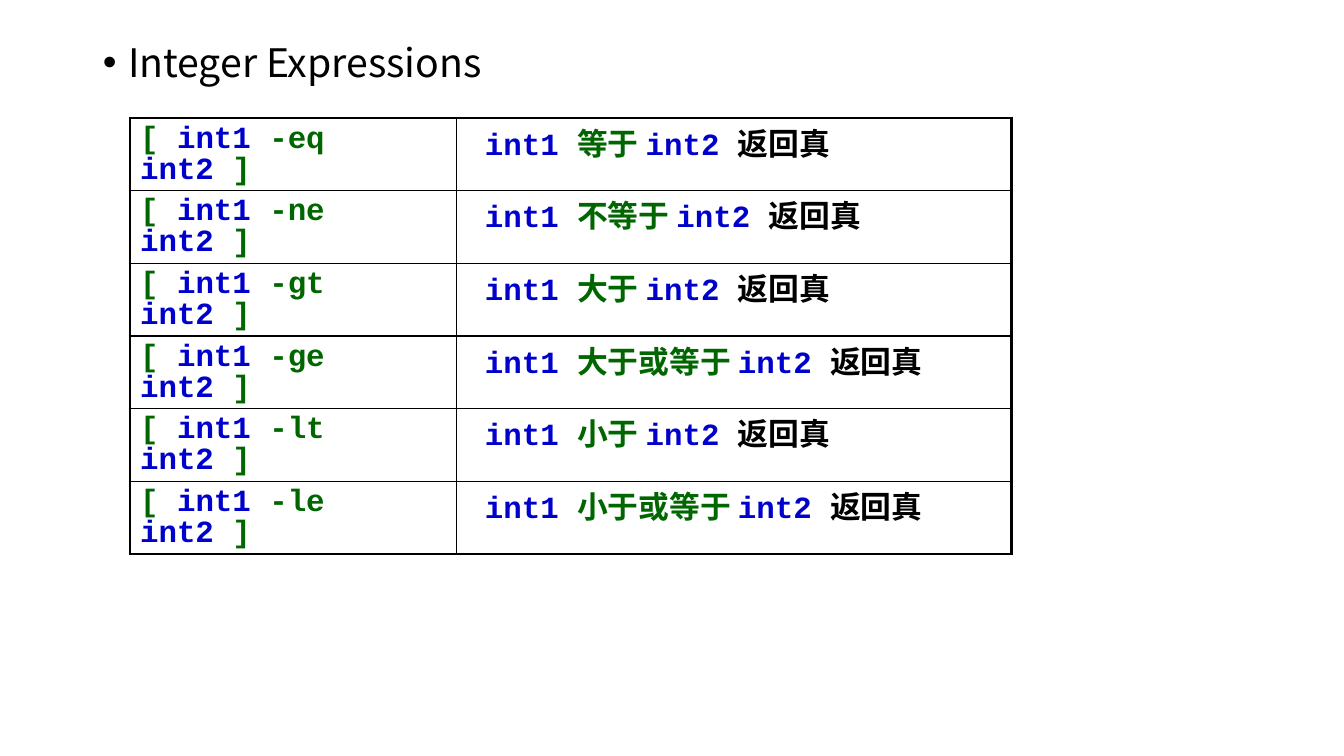
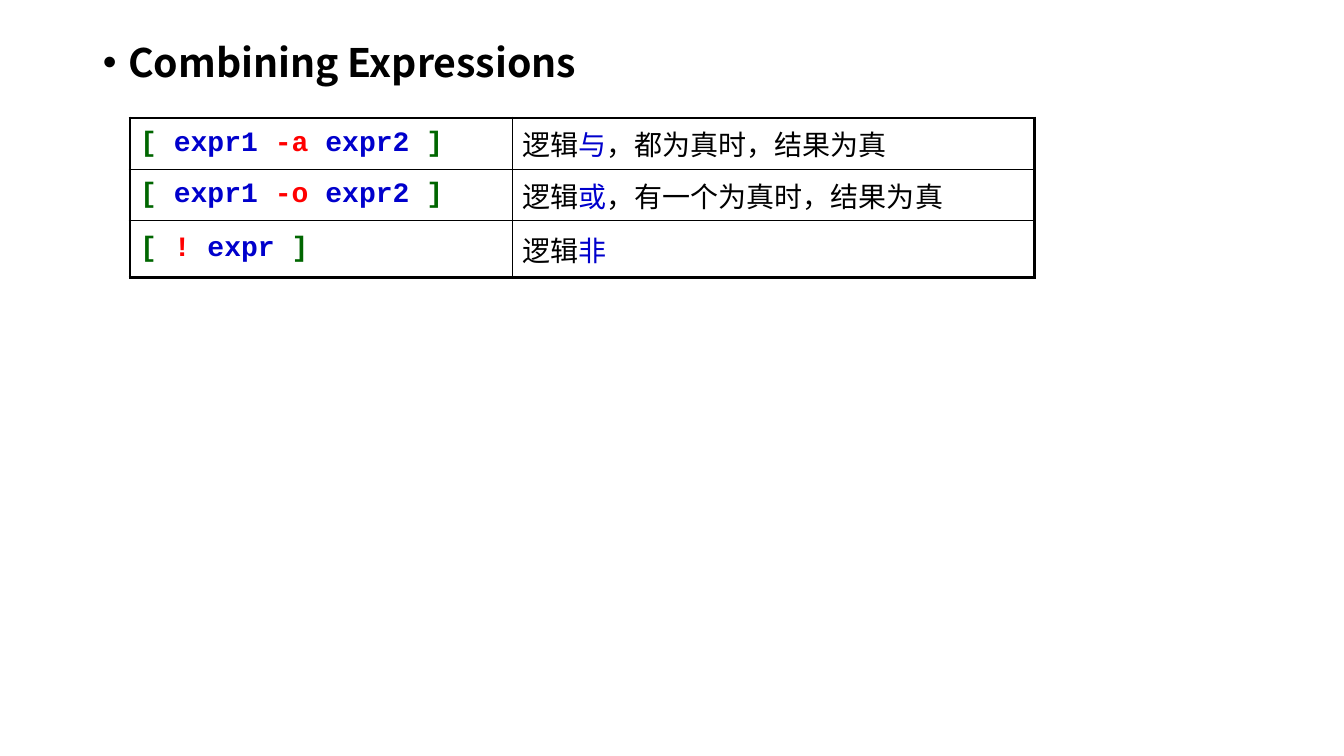
from lxml import etree
from pptx import Presentation
from pptx.dml.color import RGBColor
from pptx.enum.text import MSO_ANCHOR
from pptx.oxml.ns import qn
from pptx.util import Inches, Pt

BLACK = RGBColor(0x00, 0x00, 0x00)
GREEN = RGBColor(0x00, 0x66, 0x00)
BLUE = RGBColor(0x00, 0x00, 0xCC)
RED = RGBColor(0xFF, 0x00, 0x00)
SANS, SERIF, MONO = "Noto Sans CJK SC", "Times New Roman", "Courier New"
TOP, MIDDLE = MSO_ANCHOR.TOP, MSO_ANCHOR.MIDDLE
OUTER, INNER = Pt(2.25), Pt(1)

# Content: each cell is a list of (text, colour) runs
COMPARISONS = [("-eq", "等于"), ("-ne", "不等于"), ("-gt", "大于"),
               ("-ge", "大于或等于"), ("-lt", "小于"), ("-le", "小于或等于")]
INTEGER_ROWS = [
    ([("[ ", GREEN), ("int1 ", BLUE), (f"{op} ", GREEN), ("int2 ", BLUE), ("]", GREEN)],
     [("int1 ", BLUE), (f"{meaning} ", GREEN), ("int2 ", BLUE), ("返回真", BLACK)])
    for op, meaning in COMPARISONS]
COMBINING_ROWS = [
    ([("[ ", GREEN), ("expr1 ", BLUE), ("-a ", RED), ("expr2 ", BLUE), ("]", GREEN)],
     [("逻辑", BLACK), ("与", BLUE), ("，都为真时，结果为真", BLACK)]),
    ([("[ ", GREEN), ("expr1 ", BLUE), ("-o ", RED), ("expr2 ", BLUE), ("]", GREEN)],
     [("逻辑", BLACK), ("或", BLUE), ("，有一个为真时，结果为真", BLACK)]),
    ([("[ ", GREEN), ("! ", RED), ("expr ", BLUE), ("]", GREEN)],
     [("逻辑", BLACK), ("非", BLUE)]),
]

# Column styles: font, bold, left margin in inches
CODE = (MONO, True, 0.1)
SLIDES = [
    dict(heading="Integer Expressions", bold=False, rows=INTEGER_ROWS,
         widths=[3.24, 5.5], heights=[0.72] * 6, size=22, spacing=0.9,
         anchor=TOP, styles=[CODE, (MONO, True, 0.28)]),
    dict(heading="Combining Expressions", bold=True, rows=COMBINING_ROWS,
         widths=[3.79, 5.18], heights=[0.51, 0.51, 0.56], size=20, spacing=1.0,
         anchor=MIDDLE, styles=[CODE, (SERIF, False, 0.1)]),
]


def add_run(p, text, size=20, font=SANS, color=BLACK, bold=False):
    r = p.add_run()
    r.text = text
    r.font.size, r.font.name, r.font.bold = Pt(size), font, bold
    r.font.color.rgb = color
    etree.SubElement(r.font._element, qn("a:ea"), typeface=SANS)


def set_borders(cell, **widths):
    tc_pr = cell._tc.get_or_add_tcPr()
    for side in "LRTB":
        ln = etree.SubElement(tc_pr, qn(f"a:ln{side}"), w=str(widths[side]))
        fill = etree.SubElement(ln, qn("a:solidFill"))
        etree.SubElement(fill, qn("a:srgbClr"), val=str(BLACK))


def add_heading(s, text, bold):
    p = s.placeholders[1].text_frame.paragraphs[0]
    p.line_spacing, p.space_before = 0.9, Pt(0)
    p_pr = p._p.get_or_add_pPr()
    p_pr.set("marL", str(Inches(0.25)))
    p_pr.set("indent", str(Inches(-0.25)))
    etree.SubElement(p_pr, qn("a:buFont"), typeface="Arial")
    etree.SubElement(p_pr, qn("a:buChar"), char="•")
    add_run(p, text, size=28, bold=bold)


def add_grid(s, rows, widths, heights, size, spacing, anchor, styles):
    table = s.shapes.add_table(
        len(rows), len(widths), Inches(1.29), Inches(1.17),
        Inches(sum(widths)), Inches(sum(heights))).table
    table.first_row = table.horz_banding = False
    for column, width in zip(table.columns, widths):
        column.width = Inches(width)
    last_row, last_col = len(rows) - 1, len(widths) - 1
    for i, row in enumerate(rows):
        table.rows[i].height = Inches(heights[i])
        for j, (runs, (font, bold, margin)) in enumerate(zip(row, styles)):
            cell = table.cell(i, j)
            set_borders(cell, L=INNER if j else OUTER, T=INNER if i else OUTER,
                        R=OUTER if j == last_col else INNER,
                        B=OUTER if i == last_row else INNER)
            cell.fill.background()
            cell.vertical_anchor = anchor
            cell.margin_left = Inches(margin)
            p = cell.text_frame.paragraphs[0]
            p.line_spacing = spacing
            for text, color in runs:
                add_run(p, text, size=size, font=font, color=color, bold=bold)


def main():
    prs = Presentation()
    prs.slide_width, prs.slide_height = Inches(13.33), Inches(7.5)

    # Shared body area, set on the layout
    layout = prs.slide_layouts[1]
    body = next(sp for sp in layout.placeholders if sp.placeholder_format.idx == 1)
    body.left, body.top = Inches(0.92), Inches(0.38)
    body.width, body.height = Inches(11.5), Inches(6.38)

    for content in SLIDES:
        s = prs.slides.add_slide(layout)
        title = s.shapes.title._element
        title.getparent().remove(title)
        grid = dict(content)
        add_heading(s, grid.pop("heading"), grid.pop("bold"))
        add_grid(s, **grid)

    prs.save("out.pptx")


if __name__ == "__main__":
    main()
